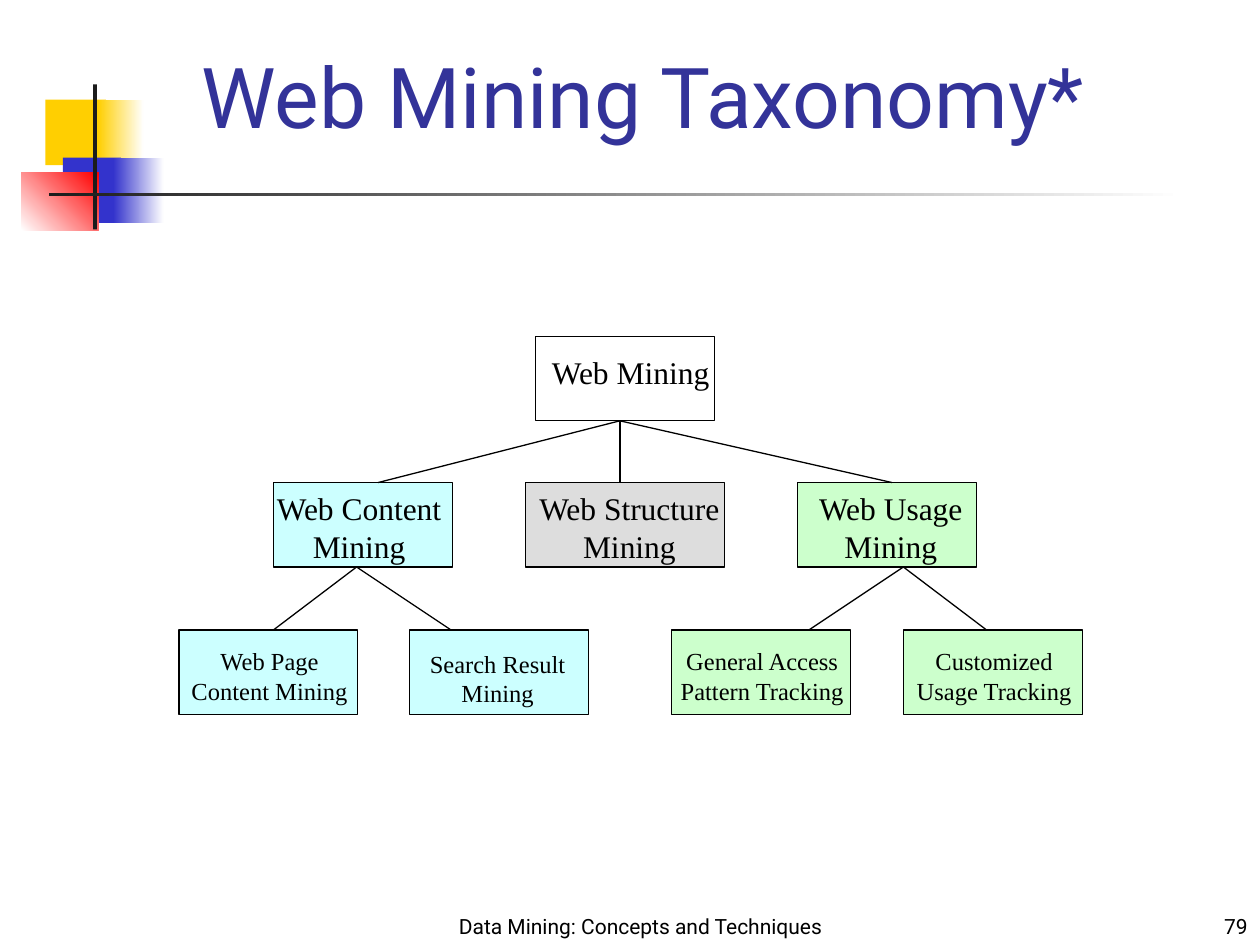
from lxml.etree import SubElement as Sub
from pptx import Presentation
from pptx.dml.color import RGBColor as RGB
from pptx.enum.shapes import MSO_CONNECTOR as Conn, MSO_SHAPE as Shape
from pptx.enum.text import MSO_ANCHOR as Anchor, MSO_AUTO_SIZE as Auto, PP_ALIGN as Align
from pptx.oxml.ns import qn
from pptx.util import Inches, Pt

WHITE = RGB(0xFF, 0xFF, 0xFF)
BLACK = RGB(0, 0, 0)
DARK = RGB(0x1C, 0x1C, 0x1C)
GOLD = RGB(0xFF, 0xCF, 0x01)
BLUE = RGB(0x33, 0x33, 0xCC)
RED = RGB(0xFF, 0, 0)
NAVY = RGB(0x33, 0x33, 0x99)
GRAY = RGB(0xDD, 0xDD, 0xDD)
CYAN = RGB(0xCC, 0xFF, 0xFF)
GREEN = RGB(0xCC, 0xFF, 0xCC)

SANS, SERIF = "Roboto", "Times New Roman"
TOP, MID, LOW = 2.67, 3.83, 5  # top edges of the tree levels
WIDE, HIGH = 1.42, 0.67  # usual node size

# Flat and fading bars of the slide frame: place, colours, angle
BARS = [
    ((0.36, 0.79, 0.48, 0.52), [GOLD], 0),
    ((0.78, 0.79, 0.36, 0.52), [GOLD, WHITE], 0),
    ((0.5, 1.25, 0.46, 0.52), [BLUE], 0),
    ((0.9, 1.25, 0.4, 0.52), [BLUE, WHITE], 0),
    ((0.17, 1.37, 0.61, 0.46), [WHITE, RED], 45),
    ((0.74, 0.67, 0.03, 1.15), [DARK], 0),
    ((0.39, 1.53, 9, 0.03), [DARK, WHITE], 0),
]

# Tree nodes: left, top, width, fill
NODES = [
    (4.25, TOP, WIDE, None),
    (2.17, MID, WIDE, CYAN),
    (4.17, MID, 1.58, GRAY),
    (6.33, MID, WIDE, GREEN),
    (1.42, LOW, WIDE, CYAN),
    (3.25, LOW, WIDE, CYAN),
    (5.33, LOW, WIDE, GREEN),
    (7.17, LOW, WIDE, GREEN),
]

# Node labels: lines, place, size
LABELS = [
    (["Web Mining"], (4.27, 2.75, 1.47, 0.4), 18),
    (["Web Content", "Mining"], (2.09, MID, 1.52, 0.7), 18),
    (["Web Structure", "Mining"], (4.17, MID, 1.65, 0.7), 18),
    (["Web Usage", "Mining"], (6.39, MID, 1.36, 0.7), 18),
    (["Web Page", "Content Mining"], (1.42, 5.08, 1.44, 0.57), 14),
    (["Search Result", "Mining"], (3.31, 5.1, 1.28, 0.57), 14),
    (["General Access", "Pattern Tracking"], (5.3, 5.08, 1.5, 0.57), 14),
    (["Customized", "Usage Tracking"], (7.17, 5.08, 1.44, 0.57), 14),
]

# Branches: start of the fan, x of each end, y of the ends
FANS = [
    ((4.92, TOP + HIGH), (3, 4.92, 7.08), MID),
    ((2.83, MID + HIGH), (2.17, 3.58), LOW),
    ((7.17, MID + HIGH), (6.42, 7.83), LOW),
]


def inch(place):
    return [Inches(v) for v in place]


def add_rect(slide, place):
    rect = slide.shapes.add_shape(Shape.RECTANGLE, *inch(place))
    rect.shadow.inherit = False
    return rect


def add_bar(slide, place, tones, angle):
    bar = add_rect(slide, place)
    bar.line.fill.background()
    if len(tones) == 1:
        bar.fill.solid()
        bar.fill.fore_color.rgb = tones[0]
        return
    bar.fill.gradient()
    bar.fill.gradient_angle = angle
    for stop, tone in zip(bar.fill.gradient_stops, tones):
        stop.color.rgb = tone


def add_node(slide, left, top, width, tone):
    node = add_rect(slide, (left, top, width, HIGH))
    node.line.color.rgb = BLACK
    node.line.width = Pt(0.75)
    if tone is None:
        node.fill.background()
    else:
        node.fill.solid()
        node.fill.fore_color.rgb = tone


def add_branch(slide, start, end):
    line = slide.shapes.add_connector(Conn.STRAIGHT, *inch(start + end))
    line.line.color.rgb = BLACK
    line.line.width = Pt(0.75)
    Sub(line._element.spPr, qn("a:effectLst"))


def put_text(frame, lines, face, size, tone, align):
    for i, text in enumerate(lines):
        para = frame.add_paragraph() if i else frame.paragraphs[0]
        para.alignment = align
        run = para.add_run()
        run.text = text
        run.font.name = face
        run.font.size = Pt(size)
        run.font.color.rgb = tone


def add_label(slide, lines, place, size):
    frame = slide.shapes.add_textbox(*inch(place)).text_frame
    frame.word_wrap = False
    frame.auto_size = Auto.SHAPE_TO_FIT_TEXT
    put_text(frame, lines, SERIF, size, BLACK, Align.CENTER)


def add_foot(slide, text, place, align):
    frame = slide.shapes.add_textbox(*inch(place)).text_frame
    frame.word_wrap = True
    frame.vertical_anchor = Anchor.BOTTOM
    put_text(frame, [text], SANS, 12, BLACK, align)


def set_title(slide, text, place):
    title = slide.shapes.title
    title.left, title.top, title.width, title.height = inch(place)
    frame = title.text_frame
    frame.word_wrap = True
    frame.auto_size = Auto.NONE
    frame.vertical_anchor = Anchor.MIDDLE
    put_text(frame, [text], SANS, 48, NAVY, Align.LEFT)


def main():
    deck = Presentation()
    deck.slide_width, deck.slide_height = Inches(10), Inches(7.5)
    slide = deck.slides.add_slide(deck.slide_layouts[5])

    # Frame, title and footer
    for bar in BARS:
        add_bar(slide, *bar)
    set_title(slide, "Web Mining Taxonomy*", (1.5, 0.42, 7.77, 0.67))
    add_foot(slide, "Data Mining: Concepts and Techniques",
             (3.5, 6.92, 3.17, 0.58), Align.CENTER)
    add_foot(slide, "79", (7.92, 7, 2.08, 0.5), Align.RIGHT)

    # Taxonomy tree
    for node in NODES:
        add_node(slide, *node)
    for start, ends, level in FANS:
        for end in ends:
            add_branch(slide, start, (end, level))
    for label in LABELS:
        add_label(slide, *label)

    deck.save("out.pptx")


if __name__ == "__main__":
    main()
